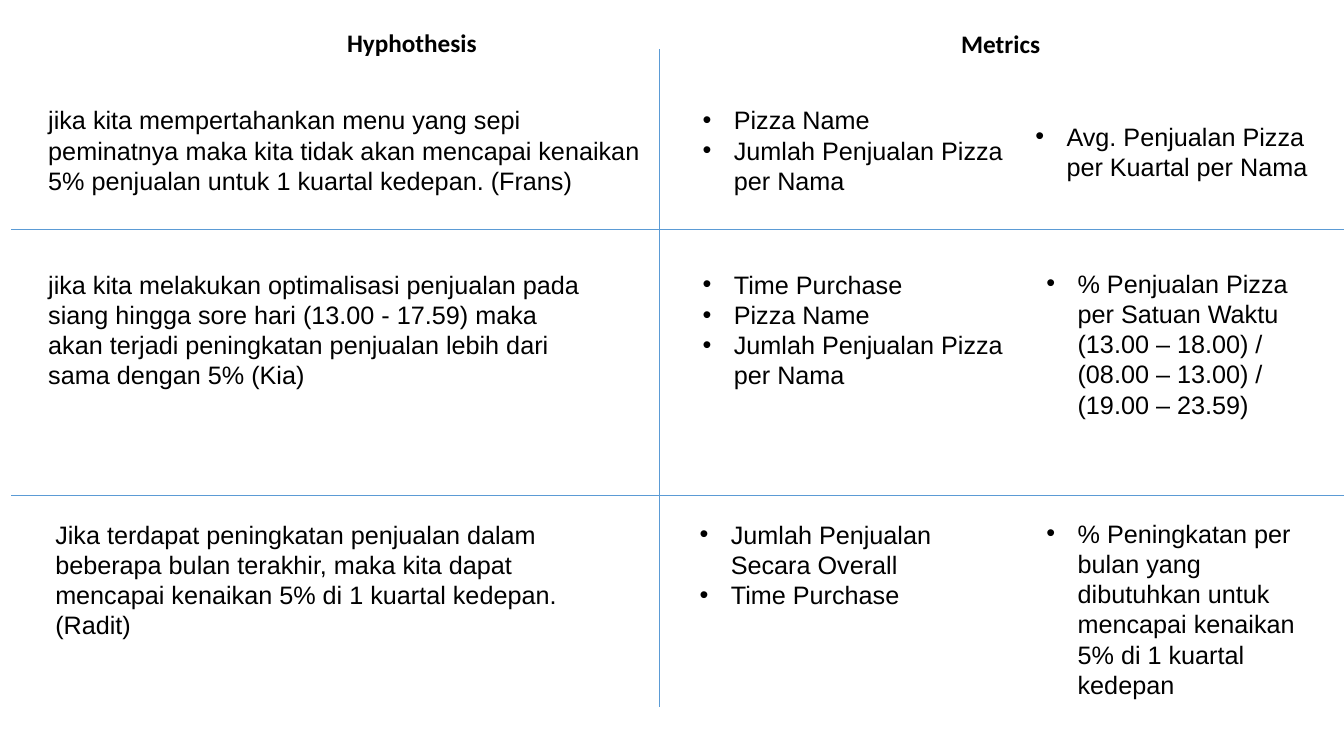
from lxml import etree
from pptx import Presentation
from pptx.dml.color import RGBColor
from pptx.enum.shapes import MSO_CONNECTOR
from pptx.enum.text import MSO_AUTO_SIZE, PP_ALIGN
from pptx.oxml.ns import qn
from pptx.util import Inches, Pt

COLORS = {"text": "000000", "line": "5B9BD5"}
BULLET_INDENT = Inches(0.31)

presentation = Presentation()
presentation.slide_width = Inches(13.33)
presentation.slide_height = Inches(7.5)
slide = presentation.slides.add_slide(presentation.slide_layouts[6])


def add_text(box, lines, font="Arial", bold=False, align=PP_ALIGN.LEFT):
    shape = slide.shapes.add_textbox(*[Inches(value) for value in box])
    frame = shape.text_frame
    frame.word_wrap = True
    frame.auto_size = MSO_AUTO_SIZE.SHAPE_TO_FIT_TEXT
    frame.text = "\n".join(lines)
    for paragraph in frame.paragraphs:
        paragraph.alignment = align
        run_font = paragraph.runs[0].font
        run_font.name = font
        run_font.size = Pt(18)
        run_font.bold = bold
        run_font.color.rgb = RGBColor.from_string(COLORS["text"])
    return frame


def add_bullets(frame):
    for paragraph in frame.paragraphs:
        properties = paragraph._p.get_or_add_pPr()
        properties.set("marL", str(BULLET_INDENT))
        properties.set("indent", str(-BULLET_INDENT))
        etree.SubElement(properties, qn("a:buFont"), typeface="Arial")
        etree.SubElement(properties, qn("a:buChar"), char="•")


# Column headings
for left, top, heading in [(3.14, 0.22, "Hyphothesis"), (8.98, 0.23, "Metrics")]:
    add_text((left, top, 1.89, 0.4), [heading], "Calibri", True, PP_ALIGN.CENTER)

# Hypotheses
hypotheses = [
    ((0.38, 0.99, 6.22, 1.01),
     "jika kita mempertahankan menu yang sepi peminatnya maka kita tidak akan "
     "mencapai kenaikan 5% penjualan untuk 1 kuartal kedepan. (Frans)"),
    ((0.38, 2.62, 5.47, 1.3),
     "jika kita melakukan optimalisasi penjualan pada siang hingga sore hari "
     "(13.00 - 17.59) maka akan terjadi peningkatan penjualan lebih dari sama "
     "dengan 5% (Kia)"),
    ((0.45, 5.1, 5.76, 1.31),
     "Jika terdapat peningkatan penjualan dalam beberapa bulan terakhir, maka "
     "kita dapat mencapai kenaikan 5% di 1 kuartal kedepan. (Radit)"),
]
for box, hypothesis in hypotheses:
    add_text(box, [hypothesis])

# Metrics: source data, then the derived measure, for each row
metrics = [
    ((6.87, 0.99, 3.28, 1.31), ["Pizza Name", "Jumlah Penjualan Pizza per Nama"]),
    ((10.17, 1.15, 3.17, 0.71), ["Avg. Penjualan Pizza per Kuartal per Nama"]),
    ((6.87, 2.62, 3.28, 1.62),
     ["Time Purchase", "Pizza Name", "Jumlah Penjualan Pizza per Nama"]),
    ((10.28, 2.61, 2.9, 1.62),
     ["% Penjualan Pizza per Satuan Waktu (13.00 – 18.00) / (08.00 – 13.00) / "
      "(19.00 – 23.59)"]),
    ((6.84, 5.1, 2.78, 1.31), ["Jumlah Penjualan Secara Overall", "Time Purchase"]),
    ((10.28, 5.09, 2.78, 1.92),
     ["% Peningkatan per bulan yang dibutuhkan untuk mencapai kenaikan 5% di "
      "1 kuartal kedepan"]),
]
for box, items in metrics:
    add_bullets(add_text(box, items))

# Dividers: one between the columns, two between the rows
dividers = [
    (6.54, 0.49, 6.54, 7.01),
    (0.11, 2.28, 13.33, 2.28),
    (0.11, 4.91, 13.33, 4.91),
]
for ends in dividers:
    divider = slide.shapes.add_connector(
        MSO_CONNECTOR.STRAIGHT, *[Inches(value) for value in ends])
    divider.line.color.rgb = RGBColor.from_string(COLORS["line"])
    divider.line.width = Pt(0.5)
    etree.SubElement(divider._element.spPr, qn("a:effectLst"))

presentation.save("out.pptx")
